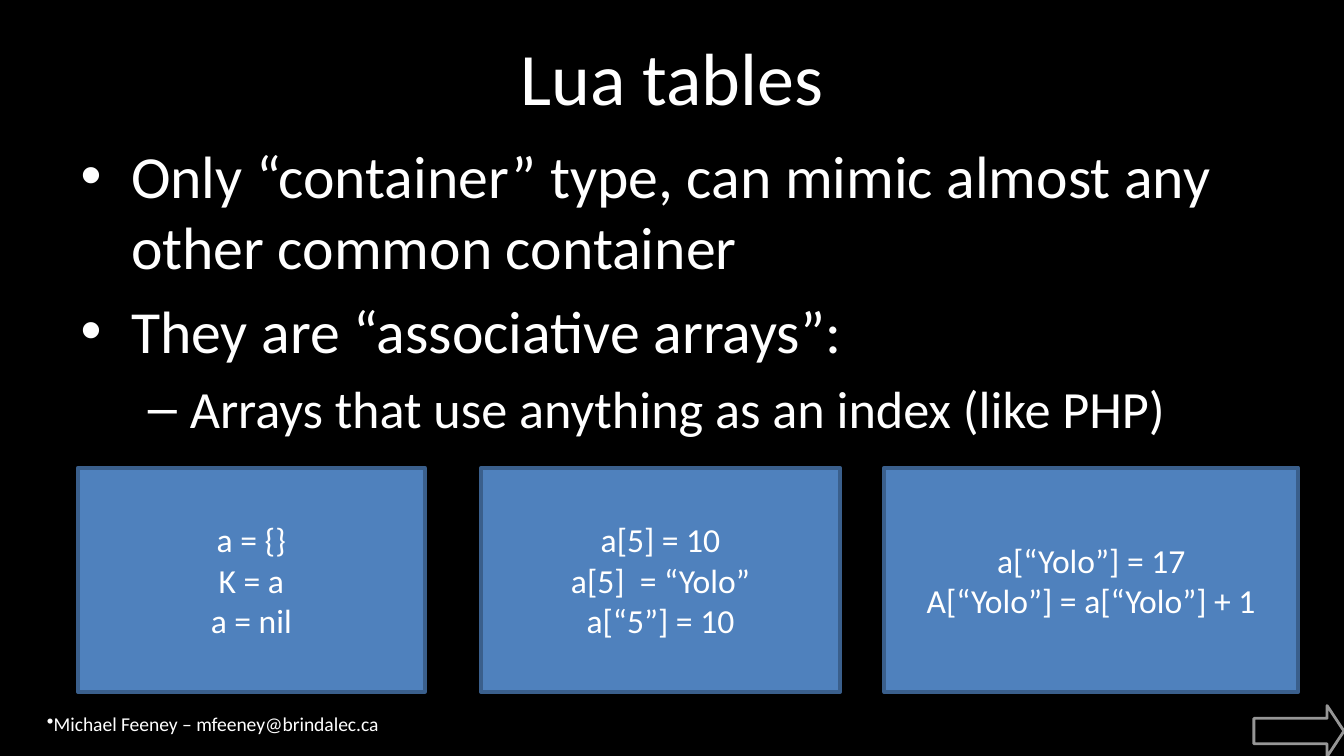
"""Build the Lua tables slide with its list, code boxes and footer."""
from lxml.etree import SubElement
from pptx import Presentation
from pptx.dml.color import RGBColor
from pptx.enum.shapes import MSO_SHAPE
from pptx.enum.text import MSO_ANCHOR, MSO_AUTO_SIZE, PP_ALIGN
from pptx.oxml.ns import qn
from pptx.util import Inches, Pt

COLORS = {
    "background": "000000",
    "text": "FFFFFF",
    "box": "4F81BD",
    "box_edge": "3A5F8C",
    "arrow_edge": "969696",
}


def color(name):
    return RGBColor.from_string(COLORS[name])


def write(paragraph, text, size):
    run = paragraph.add_run()
    run.text = text
    run.font.size = Pt(size)
    run.font.name = "Calibri"
    run.font.color.rgb = color("text")


deck = Presentation()
deck.slide_width = Inches(10)
deck.slide_height = deck.slide_width * 9 // 16
slide = deck.slides.add_slide(deck.slide_layouts[1])
slide.background.fill.solid()
slide.background.fill.fore_color.rgb = color("background")

title, topics = slide.placeholders
for holder, top, height in ((title, 0.23, 0.67), (topics, 0.98, 2.5)):
    holder.left, holder.top = Inches(0.5), Inches(top)
    holder.width, holder.height = Inches(9), Inches(height)
    holder.text_frame.auto_size = MSO_AUTO_SIZE.NONE

heading = title.text_frame.paragraphs[0]
heading.alignment = PP_ALIGN.CENTER
write(heading, "Lua tables", 39.6)

points = (
    (0, "Only “container” type, can mimic almost any other common container"),
    (0, "They are “associative arrays”:"),
    (1, "Arrays that use anything as an index (like PHP)"),
)
for index, (level, text) in enumerate(points):
    frame = topics.text_frame
    point = frame.add_paragraph() if index else frame.paragraphs[0]
    point.level = level
    write(point, text, 32 - 4 * level)

footer = slide.shapes.add_textbox(Inches(0.25), Inches(5.25), Inches(7.92), Inches(0.29))
footer.text_frame.word_wrap = True
author = footer.text_frame.paragraphs[0]
SubElement(author._p.get_or_add_pPr(), qn("a:buChar")).set("char", "•")
write(author, "Michael Feeney – mfeeney@brindalec.ca", 10.5)

next_arrow = slide.shapes.add_shape(
    MSO_SHAPE.RIGHT_ARROW, Inches(9.33), Inches(5.25), Inches(0.67), Inches(0.38)
)
next_arrow.adjustments[1] = 0.33
next_arrow.shadow.inherit = False
next_arrow.fill.background()
next_arrow.line.color.rgb = color("arrow_edge")
next_arrow.line.width = Pt(1.5)

examples = (
    (2.58, ("a = {}", "K = a", "a = nil")),
    (2.67, ("a[5] = 10", "a[5]  = “Yolo”", "a[“5”] = 10")),
    (3.08, ("a[“Yolo”] = 17", "A[“Yolo”] = a[“Yolo”] + 1")),
)
for column, (width, statements) in enumerate(examples):
    code_box = slide.shapes.add_shape(
        MSO_SHAPE.RECTANGLE, Inches(0.58 + 3 * column), Inches(3.48), Inches(width), Inches(1.67)
    )
    code_box.shadow.inherit = False
    code_box.fill.solid()
    code_box.fill.fore_color.rgb = color("box")
    code_box.line.color.rgb = color("box_edge")
    code_box.line.width = Pt(2)
    frame = code_box.text_frame
    frame.word_wrap = True
    frame.vertical_anchor = MSO_ANCHOR.MIDDLE
    for index, statement in enumerate(statements):
        code_line = frame.add_paragraph() if index else frame.paragraphs[0]
        code_line.alignment = PP_ALIGN.CENTER
        write(code_line, statement, 18)

deck.save("out.pptx")
